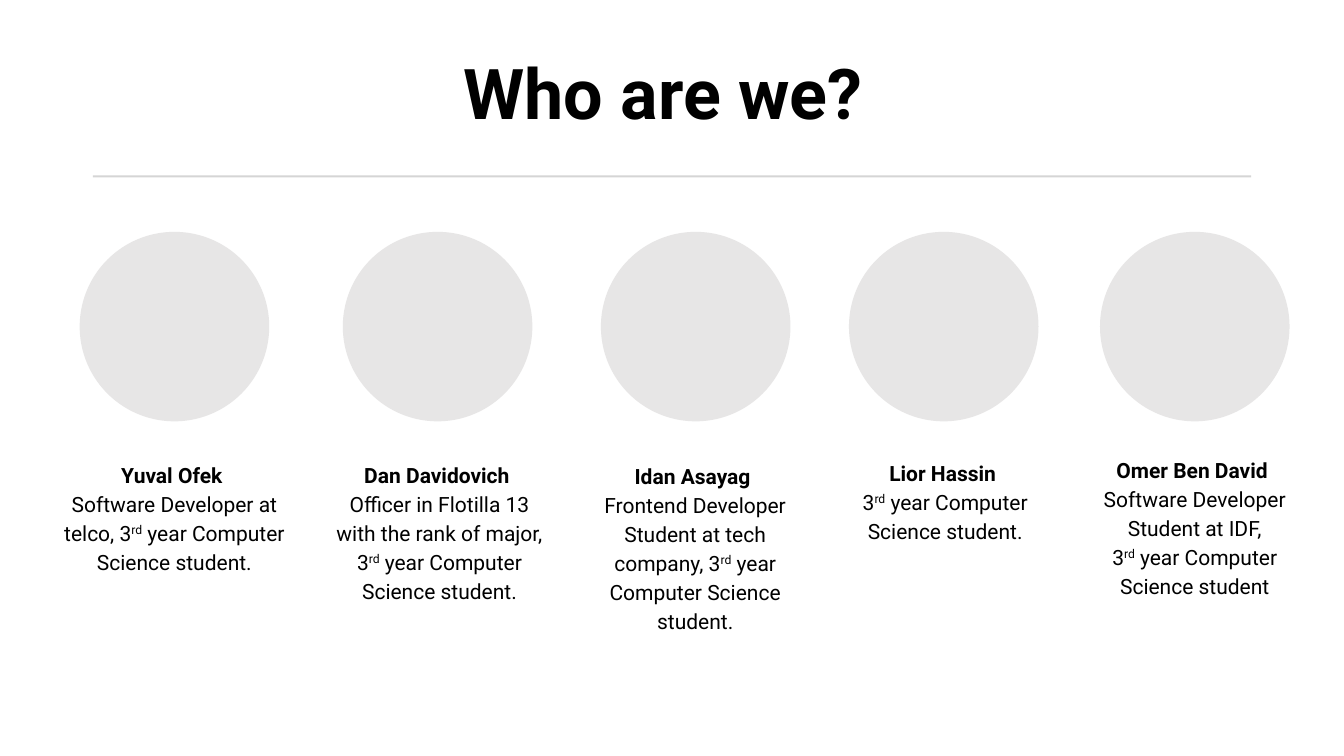
from pptx import Presentation
from pptx.dml.color import RGBColor
from pptx.enum.shapes import MSO_SHAPE
from pptx.enum.text import MSO_ANCHOR, MSO_AUTO_SIZE, PP_ALIGN
from pptx.util import Pt

PX = 9144
RECTANGLE, OVAL = MSO_SHAPE.RECTANGLE, MSO_SHAPE.OVAL
CENTER, TOP, NO_FIT = PP_ALIGN.CENTER, MSO_ANCHOR.TOP, MSO_AUTO_SIZE.NONE
PORTRAIT_TOP, PORTRAIT_SIZE = 230, 188

MEMBERS = [
    (79, (37, 450, 272, 122), "Yuval Ofek ",
     "Software Developer at telco, 3", " year Computer Science student."),
    (340, (323, 450, 226, 152), "Dan Davidovich ",
     "Officer in Flotilla 13 with the rank of major,\v3", " year Computer Science student."),
    (596, (574, 451, 231, 152), "Idan Asayag ",
     "Frontend Developer Student at tech company, 3", " year Computer Science student."),
    (842, (822, 448, 231, 93), "Lior Hassin ",
     "3", " year Computer Science student."),
    (1091, (1076, 445, 218, 152), "Omer Ben David ",
     "Software Developer Student at IDF,\v3", " year Computer Science student"),
]


def add_block(kind, left, top, width, height, color):
    block = page.shapes.add_shape(kind, left * PX, top * PX, width * PX, height * PX)
    block.shadow.inherit = False
    block.fill.solid()
    block.fill.fore_color.rgb = RGBColor.from_string(color)
    block.line.fill.background()


def style(para, size, bold, spacing):
    para.alignment = CENTER
    para.line_spacing = spacing
    para.space_before = Pt(0)
    para.font.name = "Roboto"
    para.font.size = Pt(size)
    para.font.bold = bold
    para.font.color.rgb = RGBColor.from_string("000000")


deck = Presentation()
deck.slide_width, deck.slide_height = 1333 * PX, 750 * PX
page = deck.slides.add_slide(deck.slide_layouts[5])

title = page.shapes.title
title.left, title.top, title.width, title.height = 0, 49 * PX, 1333 * PX, 96 * PX
frame = title.text_frame
frame.text = "Who are we? "
frame.word_wrap = True
frame.auto_size = NO_FIT
frame.vertical_anchor = TOP
frame.margin_left = frame.margin_right = frame.margin_top = frame.margin_bottom = 10 * PX
style(frame.paragraphs[0], 50, True, 0.9)

add_block(RECTANGLE, 92, 174, 1149, 2, "D5D5D5")

for portrait_left, bounds, name, role, studies in MEMBERS:
    add_block(OVAL, portrait_left, PORTRAIT_TOP, PORTRAIT_SIZE, PORTRAIT_SIZE, "E7E6E6")
    box = page.shapes.add_textbox(*[length * PX for length in bounds])
    frame = box.text_frame
    frame.word_wrap = True
    frame.text = name
    style(frame.paragraphs[0], 15, True, 1.15)
    para = frame.add_paragraph()
    para.text = role
    ordinal = para.add_run()
    ordinal.text = "rd"
    ordinal._r.get_or_add_rPr().set("baseline", "30000")
    para.add_run().text = studies
    style(para, 15, False, 1.15)

deck.save("out.pptx")
